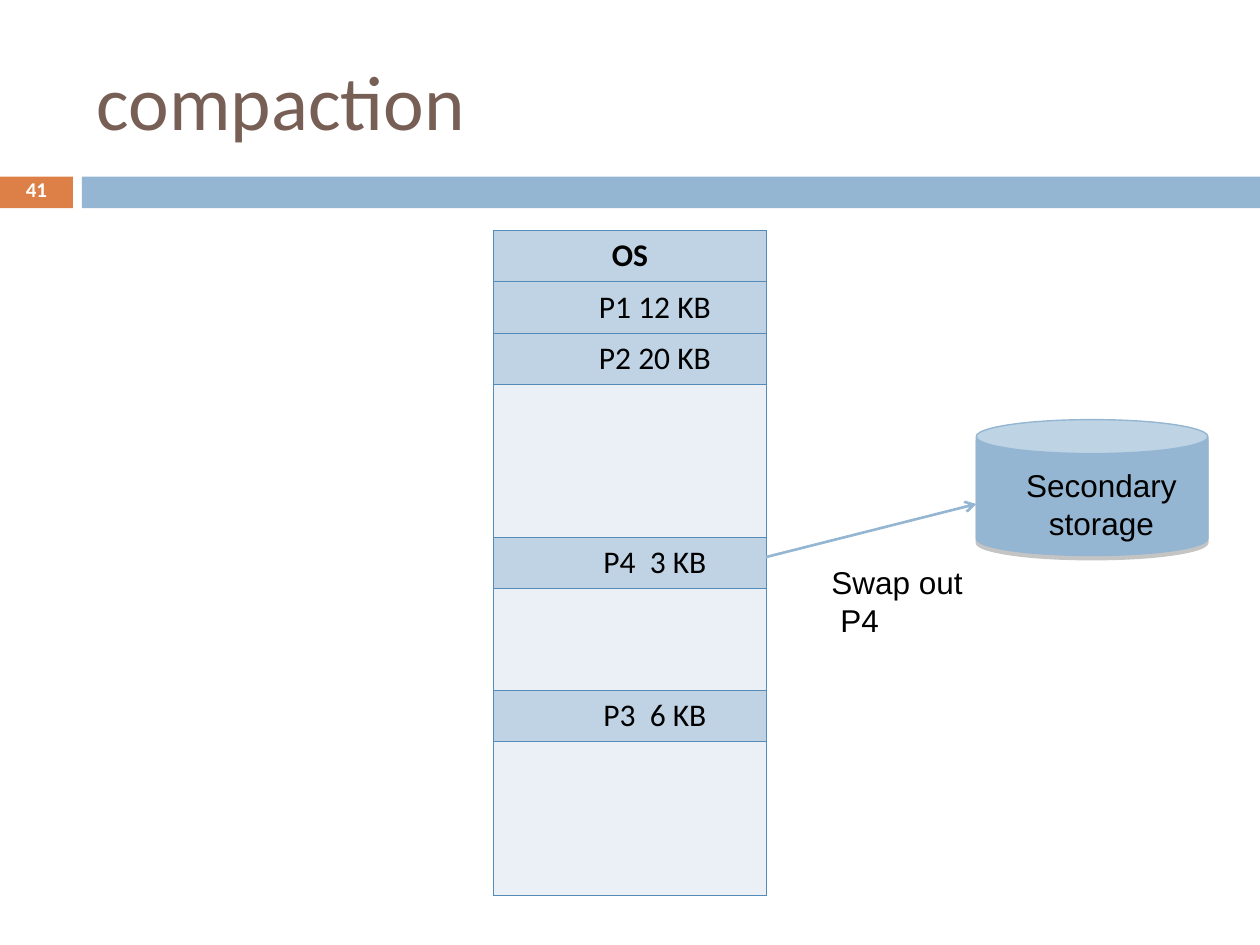
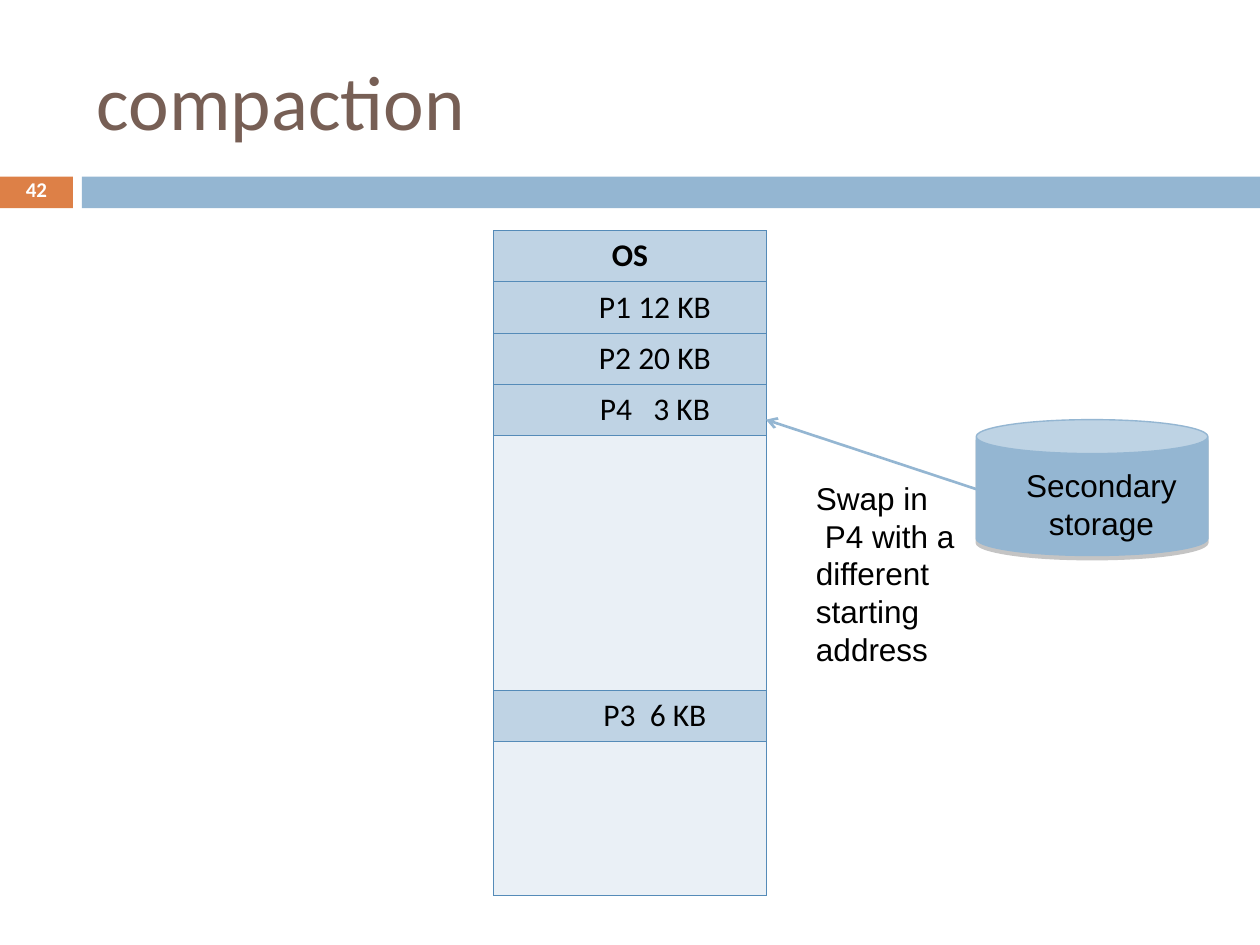
"""Build two slides that show memory compaction by swapping a process out and in."""
from lxml.etree import SubElement
from pptx import Presentation
from pptx.dml.color import RGBColor
from pptx.enum.shapes import MSO_CONNECTOR, MSO_SHAPE
from pptx.enum.text import MSO_ANCHOR, PP_ALIGN
from pptx.oxml.ns import qn
from pptx.util import Cm, Pt


class Theme:
    orange = RGBColor.from_string("DD8047")
    blue = RGBColor.from_string("94B6D2")
    used = RGBColor.from_string("BFD3E4")
    free = RGBColor.from_string("EAF0F6")
    border = "558BB8"
    shadow = "808080"
    brown = RGBColor.from_string("775F55")
    black = RGBColor.from_string("000000")
    white = RGBColor.from_string("FFFFFF")
    title = {"name": "Calibri", "size": Pt(44), "bold": False}
    cell = {"name": "Calibri", "size": Pt(18), "bold": False}
    head = {"name": "Calibri", "size": Pt(18), "bold": True}
    label = {"name": "Arial", "size": Pt(18), "bold": False}
    number = {"name": "Calibri", "size": Pt(12), "bold": True}


def write(p, text, fmt, color, align=PP_ALIGN.LEFT):
    p.alignment = align
    r = p.add_run()
    r.text = text
    for name, value in fmt.items():
        setattr(r.font, name, value)
    r.font.color.rgb = color


def add_label(s, box, lines, fmt, color, align=PP_ALIGN.LEFT):
    tf = s.shapes.add_textbox(*map(Cm, box)).text_frame
    tf.word_wrap = True
    for i, line in enumerate(lines):
        p = tf.paragraphs[0] if i == 0 else tf.add_paragraph()
        write(p, line, fmt, color, align)
    return tf


slides = [
    {
        "rows": ["OS", "P1 12 KB", "P2 20 KB", "", "", "", "P4  3 KB", "", "",
                 "P3  6 KB", "", "", ""],
        "arrow": (15.44, 11.23, 19.68, 10.16),
        "note": ["Swap out", "P4"],
        "note_box": (16.51, 11.23, 4.24, 1.78),
    },
    {
        "rows": ["OS", "P1 12 KB", "P2 20 KB", "P4   3 KB", "", "", "", "", "",
                 "P3  6 KB", "", "", ""],
        "arrow": (19.68, 9.86, 15.44, 8.46),
        "note": ["Swap in", "P4 with a different starting address"],
        "note_box": (16.2, 9.53, 3.48, 4.06),
    },
]
bands = [((0, 3.56, 1.47, 0.64), Theme.orange), ((1.65, 3.56, 23.75, 0.64), Theme.blue)]
row_height = 1.03

prs = Presentation()
prs.slide_width, prs.slide_height = Cm(25.4), Cm(19.05)

for number, content in enumerate(slides, start=41):
    s = prs.slides.add_slide(prs.slide_layouts[5])
    title = s.shapes.title
    title.left, title.top, title.width, title.height = map(Cm, (1.7, 0.64, 22.66, 2.74))
    title.text_frame.vertical_anchor = MSO_ANCHOR.MIDDLE
    write(title.text_frame.paragraphs[0], "compaction", Theme.title, Theme.brown)

    for box, color in bands:
        sp = s.shapes.add_shape(MSO_SHAPE.RECTANGLE, *map(Cm, box))
        sp.shadow.inherit = False
        sp.fill.solid()
        sp.fill.fore_color.rgb = color
        sp.line.fill.background()

    rows = content["rows"]
    memory = s.shapes.add_table(len(rows), 1, Cm(9.95), Cm(4.65), Cm(5.5),
                                Cm(row_height * len(rows))).table
    memory.first_row = memory.horz_banding = False
    for i, text in enumerate(rows):
        memory.rows[i].height = Cm(row_height)
        cell = memory.cell(i, 0)
        tcPr = cell._tc.get_or_add_tcPr()
        inner_top = not text and not rows[i - 1]
        inner_bottom = not text and i + 1 < len(rows) and not rows[i + 1]
        for side, hidden in zip("LRTB", (False, False, inner_top, inner_bottom)):
            ln = SubElement(tcPr, qn(f"a:ln{side}"), w=str(Pt(0.45)))
            if hidden:
                SubElement(ln, qn("a:noFill"))
            else:
                SubElement(SubElement(ln, qn("a:solidFill")), qn("a:srgbClr"), val=Theme.border)
        cell.fill.solid()
        cell.fill.fore_color.rgb = Theme.used if text else Theme.free
        if text:
            cell.margin_left = Cm(0.25 if i == 0 else 1.26)
            write(cell.text_frame.paragraphs[0], text, Theme.head if i == 0 else Theme.cell,
                  Theme.black, PP_ALIGN.CENTER)

    storage = s.shapes.add_shape(MSO_SHAPE.CAN, Cm(19.68), Cm(8.46), Cm(4.67), Cm(2.74))
    storage.shadow.inherit = False
    storage.fill.solid()
    storage.fill.fore_color.rgb = Theme.blue
    storage.line.color.rgb = Theme.blue
    storage.line.width = Pt(0.79)
    effects = storage._element.spPr.find(qn("a:effectLst"))
    shadow = SubElement(effects, qn("a:outerShdw"), blurRad="0", dist=str(Pt(2.4)),
                        dir="5400000", rotWithShape="0")
    tint = SubElement(shadow, qn("a:srgbClr"), val=Theme.shadow)
    SubElement(tint, qn("a:alpha"), val="45000")

    arrow = s.shapes.add_connector(MSO_CONNECTOR.STRAIGHT, *map(Cm, content["arrow"]))
    arrow.line.color.rgb = Theme.blue
    arrow.line.width = Pt(1.5)
    SubElement(arrow.line._get_or_add_ln(), qn("a:tailEnd"), type="arrow")
    SubElement(arrow._element.spPr, qn("a:effectLst"))

    tf = add_label(s, content["note_box"], content["note"], Theme.label, Theme.black)
    tf.paragraphs[1]._p.get_or_add_pPr().set("indent", str(Cm(0.18)))
    add_label(s, (20.4, 9.27, 3.61, 1.78), ["Secondary", "storage"], Theme.label,
              Theme.black, PP_ALIGN.CENTER)

    tf = add_label(s, (0, 3.53, 1.47, 0.69), [str(number)], Theme.number, Theme.white,
                   PP_ALIGN.CENTER)
    tf.vertical_anchor = MSO_ANCHOR.MIDDLE
    tf.paragraphs[0].line_spacing = 0.7

prs.save("out.pptx")
